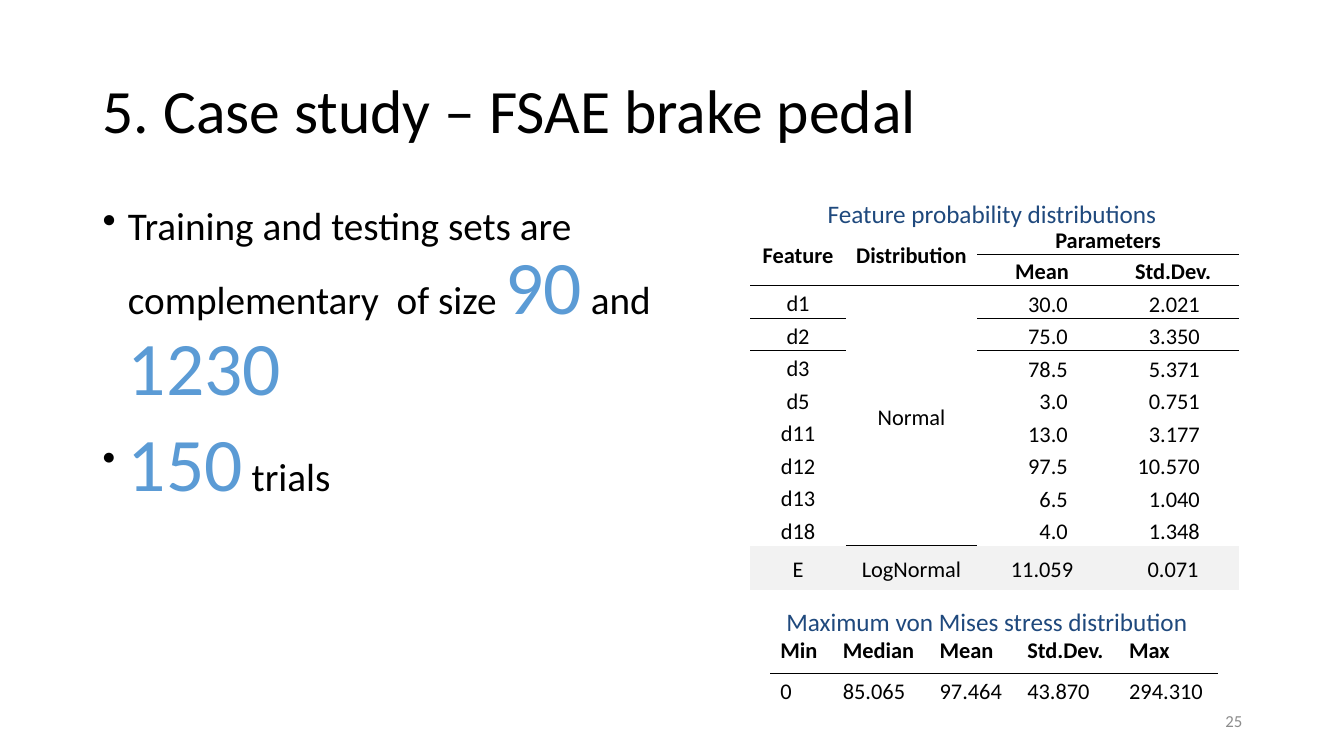
from dataclasses import dataclass, field

import lxml.etree
import pptx
import pptx.dml.color
import pptx.enum.text
import pptx.oxml.ns
import pptx.util

PX = 9144
FONT = "Calibri"
NO_STYLE = "{2D5ABB26-0587-4C30-8999-92F81FD0307C}"
COLORS = {"black": "000000", "accent": "5B9BD5", "caption": "1F497D",
          "number": "8C8C8C", "band": "F2F2F2"}
ALIGN = pptx.enum.text.PP_ALIGN
ANCHOR = pptx.enum.text.MSO_ANCHOR
qn = pptx.oxml.ns.qn


@dataclass
class Run:
    text: str
    size: int
    color: str = "black"


@dataclass
class Box:
    at: tuple[int, int, int, int]
    paragraphs: list[list[Run]]
    align: ALIGN = ALIGN.LEFT
    anchor: ANCHOR = ANCHOR.MIDDLE
    wrap: bool = True
    spacing: float | None = None
    bullet_sizes: list[int] = field(default_factory=list)


@dataclass
class Grid:
    left: int
    top: int
    cols: list[int]
    heights: list[int]
    rows: list[list[str]]
    headers: int
    rules: dict[int, list[int]]
    merges: list[tuple[int, int, int, int]] = field(default_factory=list)
    band: int | None = None


@dataclass
class CellLook:
    margins: tuple[int, int, int, int] = (10, 5, 10, 5)
    align: ALIGN = ALIGN.LEFT
    anchor: ANCHOR = ANCHOR.TOP
    spacing: float | None = None


def px(n: int) -> pptx.util.Emu:
    return pptx.util.Emu(n * PX)


def rgb(name: str) -> pptx.dml.color.RGBColor:
    return pptx.dml.color.RGBColor.from_string(COLORS[name])


def write(p, text: str, *, size: int, color: str = "black", bold: bool = False) -> None:
    r = p.add_run()
    r.text = text
    r.font.name = FONT
    r.font.size = pptx.util.Pt(size)
    r.font.bold = bold
    r.font.color.rgb = rgb(color)


def add_bullet(p, percent: int) -> None:
    pPr = p._p.get_or_add_pPr()
    pPr.set("marL", str(px(25)))
    pPr.set("indent", str(px(-25)))
    clr = lxml.etree.SubElement(pPr, qn("a:buClr"))
    lxml.etree.SubElement(clr, qn("a:srgbClr"), val=COLORS["black"])
    lxml.etree.SubElement(pPr, qn("a:buSzPct"), val=str(percent * 1000))
    lxml.etree.SubElement(pPr, qn("a:buChar"), char="•")


def add_box(s, box: Box) -> None:
    tf = s.shapes.add_textbox(*map(px, box.at)).text_frame
    tf.word_wrap = box.wrap
    tf.vertical_anchor = box.anchor
    for i, runs in enumerate(box.paragraphs):
        p = tf.add_paragraph() if i else tf.paragraphs[0]
        if box.bullet_sizes:
            add_bullet(p, box.bullet_sizes[i])
        p.alignment = box.align
        p.line_spacing = box.spacing
        if i:
            p.space_before = pptx.util.Pt(10)
        for run in runs:
            write(p, run.text, size=run.size, color=run.color)


def add_top_rule(cell) -> None:
    ln = lxml.etree.SubElement(cell._tc.get_or_add_tcPr(), qn("a:lnT"),
                               w=str(pptx.util.Pt(1)))
    fill = lxml.etree.SubElement(ln, qn("a:solidFill"))
    lxml.etree.SubElement(fill, qn("a:srgbClr"), val=COLORS["black"])


def add_grid(s, grid: Grid, look) -> None:
    frame = s.shapes.add_table(len(grid.rows), len(grid.cols), px(grid.left), px(grid.top),
                               px(sum(grid.cols)), px(sum(grid.heights)))
    table = frame.table
    table.first_row = table.horz_banding = False
    next(frame.element.iter(qn("a:tableStyleId"))).text = NO_STYLE
    for column, width in zip(table.columns, grid.cols):
        column.width = px(width)
    for row, height in zip(table.rows, grid.heights):
        row.height = px(height)
    for r0, c0, r1, c1 in grid.merges:
        table.cell(r0, c0).merge(table.cell(r1, c1))
    for i, row in enumerate(grid.rows):
        for j, text in enumerate(row):
            cell, style = table.cell(i, j), look(i, j)
            (cell.margin_left, cell.margin_top,
             cell.margin_right, cell.margin_bottom) = map(px, style.margins)
            cell.vertical_anchor = style.anchor
            if j in grid.rules.get(i, []):
                add_top_rule(cell)
            if i == grid.band:
                cell.fill.solid()
                cell.fill.fore_color.rgb = rgb("band")
            else:
                cell.fill.background()
            p = cell.text_frame.paragraphs[0]
            p.alignment = style.align
            p.line_spacing = style.spacing
            if text:
                write(p, text, size=16, bold=i < grid.headers)


def feature_look(i: int, j: int) -> CellLook:
    if j > 1 and 2 <= i < 10:
        return CellLook((1, 1, 39, 0), ALIGN.RIGHT, ANCHOR.BOTTOM, 1.15)
    anchor = ANCHOR.TOP if j > 1 and i < 2 else ANCHOR.MIDDLE
    return CellLook((7, 0, 7, 0), ALIGN.CENTER, anchor, 1.15)


def stress_look(i: int, j: int) -> CellLook:
    return CellLook()


BOXES = [
    Box((92, 40, 1150, 145), [[Run("5. Case study – FSAE brake pedal", 44)]], spacing=0.9),
    Box((92, 200, 652, 476),
        [[Run("Training and testing sets are complementary  of size ", 28),
          Run("90", 54, "accent"), Run(" and ", 28), Run("1230", 54, "accent")],
         [Run("150", 54, "accent"), Run(" trials", 28)]],
        anchor=ANCHOR.TOP, spacing=0.9, bullet_sizes=[100, 50]),
    Box((811, 192, 350, 40), [[Run("Feature probability distributions", 18, "caption")]],
        wrap=False),
    Box((942, 695, 300, 40), [[Run("25", 12, "number")]], align=ALIGN.RIGHT),
    Box((770, 597, 432, 40), [[Run("Maximum von Mises stress distribution", 18, "caption")]],
        wrap=False),
]

FEATURES = Grid(
    744, 221, [95, 130, 129, 131], [31] * 2 + [22] * 8 + [44],
    [["Feature", "Distribution", "Parameters", ""],
     ["", "", "Mean", "Std.Dev."],
     ["d1", "Normal", "30.0", "2.021"],
     ["d2", "", "75.0", "3.350"],
     ["d3", "", "78.5", "5.371"],
     ["d5", "", "3.0", "0.751"],
     ["d11", "", "13.0", "3.177"],
     ["d12", "", "97.5", "10.570"],
     ["d13", "", "6.5", "1.040"],
     ["d18", "", "4.0", "1.348"],
     ["E", "LogNormal", "11.059", "0.071"]],
    headers=2, rules={1: [2, 3], 2: [0, 1, 2, 3], 3: [0, 2, 3], 10: [1]},
    merges=[(0, 0, 1, 0), (0, 1, 1, 1), (0, 2, 0, 3), (2, 1, 9, 1)], band=10)

STRESS = Grid(
    764, 627, [62, 96, 87, 101, 98], [41, 41],
    [["Min", "Median", "Mean", "Std.Dev.", "Max"],
     ["0", "85.065", "97.464", "43.870", "294.310"]],
    headers=1, rules={1: [0, 1, 2, 3, 4]})


def main() -> None:
    prs = pptx.Presentation()
    prs.slide_width, prs.slide_height = px(1333), px(750)
    s = prs.slides.add_slide(prs.slide_layouts[6])
    add_grid(s, FEATURES, feature_look)
    add_grid(s, STRESS, stress_look)
    for box in BOXES:
        add_box(s, box)
    prs.save("out.pptx")


if __name__ == "__main__":
    main()
